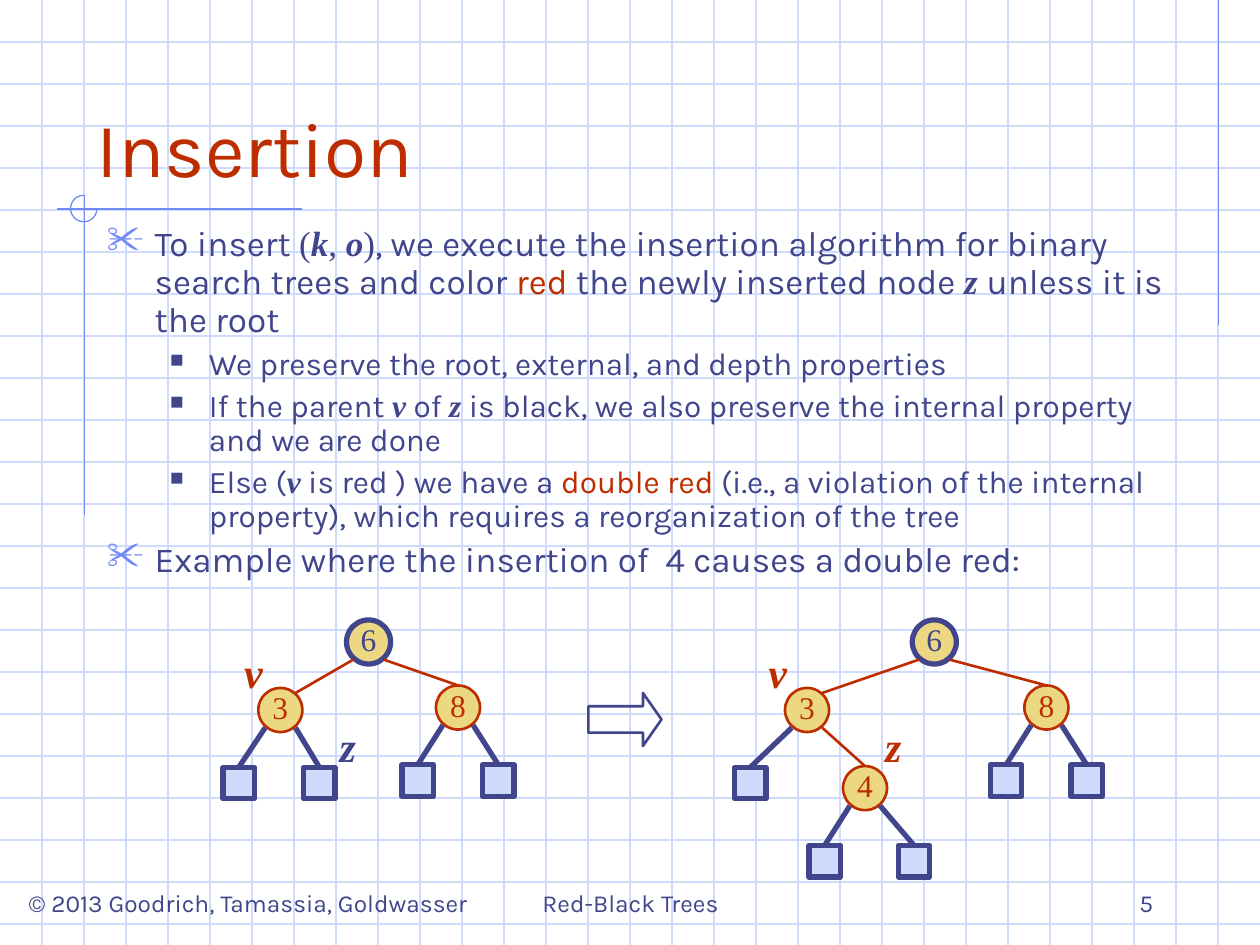
from lxml import etree
from pptx import Presentation
from pptx.dml.color import RGBColor
from pptx.enum.shapes import MSO_CONNECTOR, MSO_SHAPE
from pptx.enum.text import MSO_ANCHOR as Anchor, PP_ALIGN as Align
from pptx.oxml.ns import qn
from pptx.util import Inches, Pt

INDIGO = RGBColor(0x40, 0x45, 0x8C)
RED = RGBColor(0xBE, 0x2D, 0x00)
GOLD = RGBColor(0xEC, 0xD8, 0x82)
PALE = RGBColor(0xCF, 0xDB, 0xFD)
BLUE = RGBColor(0x6F, 0x89, 0xF7)
SANS, SERIF = "Karla", "Times New Roman"
WIDTH, HEIGHT = 10, 7.5
CIRCLE, BOX = 0.35, 0.25

STYLES = {
    "plain": (SANS, INDIGO, False),
    "red": (SANS, RED, False),
    "serif": (SERIF, INDIGO, False),
    "math": (SERIF, INDIGO, True),
    "red math": (SERIF, RED, True),
    "red serif": (SERIF, RED, False),
}
LEVELS = [
    dict(size=20, margin=0.38, indent=-0.38, before=5, bullet="✂", color=BLUE, percent=110),
    dict(size=18, margin=0.81, indent=-0.31, before=4.5, bullet="■", color=INDIGO, percent=60),
]
BODY = [
    (0, [("To insert ", "plain"), ("(", "serif"), ("k", "math"), (", ", "serif"),
         ("o", "math"), (")", "serif"),
         (", we execute the insertion algorithm for binary search trees and color ", "plain"),
         ("red", "red"), (" the newly inserted node ", "plain"), ("z ", "math"),
         ("unless it is the root", "plain")]),
    (1, [("We preserve the root, external, and depth properties", "plain")]),
    (1, [("If the parent ", "plain"), ("v", "math"), (" of ", "plain"), ("z", "math"),
         (" is black, we also preserve the internal property and we are done", "plain")]),
    (1, [("Else (", "plain"), ("v", "math"), (" is red ) we have a ", "plain"),
         ("double red", "red"),
         (" (i.e., a violation of the internal property), "
          "which requires a reorganization of the tree", "plain")]),
    (0, [("Example where the insertion of  4 causes a double red:", "plain")]),
]
CAPTIONS = [
    ("© 2013 Goodrich, Tamassia, Goldwasser", (0.03, 7, 3.88, 0.34), 14, "plain", Align.CENTER, Anchor.TOP),
    ("Red-Black Trees", (3.42, 6.83, 3.17, 0.5), 14, "plain", Align.CENTER, Anchor.BOTTOM),
    ("5", (7.17, 6.83, 2.08, 0.5), 14, "plain", Align.RIGHT, Anchor.BOTTOM),
    ("Insertion", (0.67, 0.33, 8.5, 1.25), 44, "red", Align.LEFT, Anchor.BOTTOM),
]
NODE_NAMES = [
    ("z", 2.59, 5.67, "math"),
    ("v", 1.84, 5.08, "red math"),
    ("v", 6, 5.08, "red math"),
    ("z", 6.92, 5.67, "red math"),
]
# label, left, top, parent
TREES = [
    {"circles": [("6", 2.75, 4.92, None), ("3", 2.05, 5.46, "6"), ("8", 3.46, 5.44, "6")],
     "boxes": [(1.77, 6.09, "3"), (2.41, 6.09, "3"), (3.19, 6.07, "8"), (3.83, 6.07, "8")]},
    {"circles": [("6", 7.24, 4.92, None), ("3", 6.23, 5.46, "6"), ("8", 8.13, 5.44, "6"),
                 ("4", 6.69, 6.08, "3")],
     "boxes": [(5.83, 6.09, "3"), (7.86, 6.07, "8"), (8.5, 6.07, "8"),
               (6.42, 6.71, "4"), (7.13, 6.71, "4")]},
]


def add_line(slide, start, end, color, width):
    line = slide.shapes.add_connector(MSO_CONNECTOR.STRAIGHT, *map(Inches, start + end))
    line.line.color.rgb = color
    line.line.width = Pt(width)
    etree.SubElement(line._element.spPr, qn("a:effectLst"))
    return line


def add_outline(slide, preset, frame, fill, color, width):
    shape = slide.shapes.add_shape(preset, *map(Inches, frame))
    shape.shadow.inherit = False
    if fill is None:
        shape.fill.background()
    else:
        shape.fill.solid()
        shape.fill.fore_color.rgb = fill
    shape.line.color.rgb = color
    shape.line.width = Pt(width)
    return shape


def add_run(paragraph, text, size, style):
    run = paragraph.add_run()
    run.text = text
    font = run.font
    font.name, font.color.rgb, slanted = STYLES[style]
    font.bold = font.italic = slanted
    font.size = Pt(size)


def add_caption(slide, text, frame, size, style, align, anchor):
    text_frame = slide.shapes.add_textbox(*map(Inches, frame)).text_frame
    text_frame.word_wrap = True
    text_frame.vertical_anchor = anchor
    paragraph = text_frame.paragraphs[0]
    paragraph.alignment = align
    add_run(paragraph, text, size, style)


def add_bullet(paragraph, level):
    properties = paragraph._p.get_or_add_pPr()
    properties.set("marL", str(Inches(level["margin"])))
    properties.set("indent", str(Inches(level["indent"])))
    color = etree.SubElement(properties, qn("a:buClr"))
    etree.SubElement(color, qn("a:srgbClr"), val=str(level["color"]))
    etree.SubElement(properties, qn("a:buSzPct"), val=str(level["percent"] * 1000))
    etree.SubElement(properties, qn("a:buChar"), char=level["bullet"])


def add_background(slide):
    for row in range(1, 23):
        add_line(slide, (0, row / 3), (WIDTH, row / 3), PALE, 0.75)
    for column in range(1, 30):
        add_line(slide, (column / 3, 0), (column / 3, HEIGHT), PALE, 0.75)
    for start, end in [((9.67, 0), (9.67, 2.58)), ((2.4, 1.66), (0.45, 1.66)),
                       ((0.67, 1.55), (0.67, 4.09))]:
        add_line(slide, start, end, BLUE, 0.75)
    arc = add_outline(slide, MSO_SHAPE.ARC, (0.56, 1.55, 0.21, 0.21), None, BLUE, 0.75)
    arc.adjustments[0] = 0
    arc.adjustments[1] = 162


def add_body(slide):
    text_frame = slide.shapes.add_textbox(*map(Inches, (0.75, 1.75, 8.83, 3.08))).text_frame
    text_frame.word_wrap = True
    for index, (depth, runs) in enumerate(BODY):
        level = LEVELS[depth]
        paragraph = text_frame.add_paragraph() if index else text_frame.paragraphs[0]
        paragraph.level = depth
        paragraph.line_spacing = 0.9
        paragraph.space_before = Pt(level["before"] if index else 0)
        add_bullet(paragraph, level)
        for text, style in runs:
            add_run(paragraph, text, level["size"], style)


def add_circle(slide, label, left, top, is_root):
    color, width, style = (INDIGO, 3, "serif") if is_root else (RED, 1.5, "red serif")
    circle = add_outline(slide, MSO_SHAPE.OVAL, (left, top, CIRCLE, CIRCLE), GOLD, color, width)
    text_frame = circle.text_frame
    text_frame.word_wrap = False
    text_frame.vertical_anchor = Anchor.MIDDLE
    text_frame.margin_left = text_frame.margin_right = text_frame.margin_top = 0
    text_frame.margin_bottom = Inches(0.05)
    text_frame.paragraphs[0].alignment = Align.CENTER
    add_run(text_frame.paragraphs[0], label, 18, style)
    return circle


def add_edge(slide, parent_center, child, child_center, child_top, color, width, to_corner=False):
    side = 1 if child_center > parent_center[0] else -1
    start = (parent_center[0] + side * 0.12, parent_center[1] + 0.14)
    end = (child_center - side * 0.12, child_top + 0.04) if to_corner else (child_center, child_top)
    edge = add_line(slide, start, end, color, width)
    if not to_corner:
        edge.end_connect(child, 0)


def add_tree(slide, circles, boxes):
    centers = {label: (left + CIRCLE / 2, top + CIRCLE / 2) for label, left, top, _ in circles}
    for label, left, top, parent in circles:
        circle = add_circle(slide, label, left, top, parent is None)
        if parent:
            add_edge(slide, centers[parent], circle, centers[label][0], top, RED, 1.5, label == "3")
    for left, top, parent in boxes:
        box = add_outline(slide, MSO_SHAPE.RECTANGLE, (left, top, BOX, BOX), PALE, INDIGO, 3)
        add_edge(slide, centers[parent], box, left + BOX / 2, top, INDIGO, 3)


def main():
    presentation = Presentation()
    presentation.slide_width, presentation.slide_height = Inches(WIDTH), Inches(HEIGHT)
    slide = presentation.slides.add_slide(presentation.slide_layouts[6])
    add_background(slide)
    for caption in CAPTIONS:
        add_caption(slide, *caption)
    add_body(slide)
    for tree in TREES:
        add_tree(slide, **tree)
    for name, left, top, style in NODE_NAMES:
        add_caption(slide, name, (left, top, 0.34, 0.5), 24, style, Align.CENTER, Anchor.TOP)
    arrow = add_outline(slide, MSO_SHAPE.RIGHT_ARROW, (4.67, 5.5, 0.58, 0.42), None, INDIGO, 1.5)
    arrow.adjustments[1] = 0.35
    presentation.save("out.pptx")


if __name__ == "__main__":
    main()
